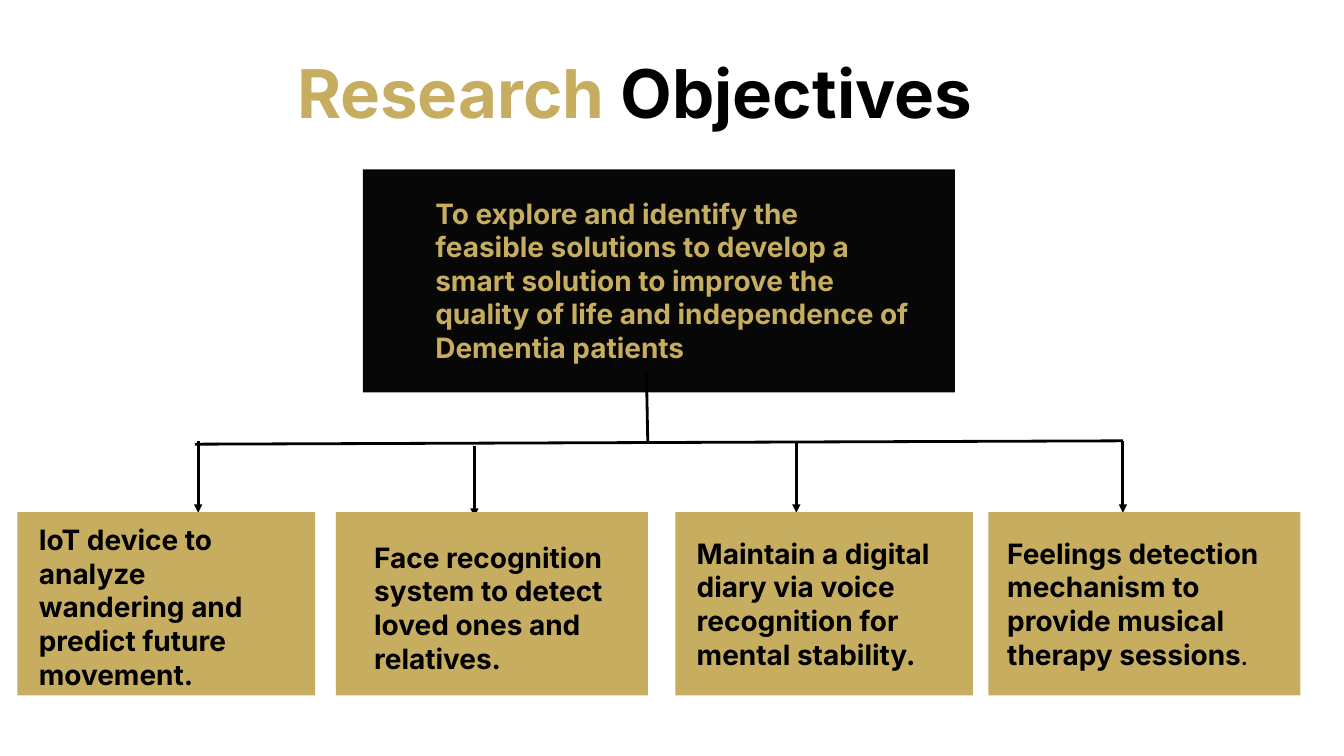
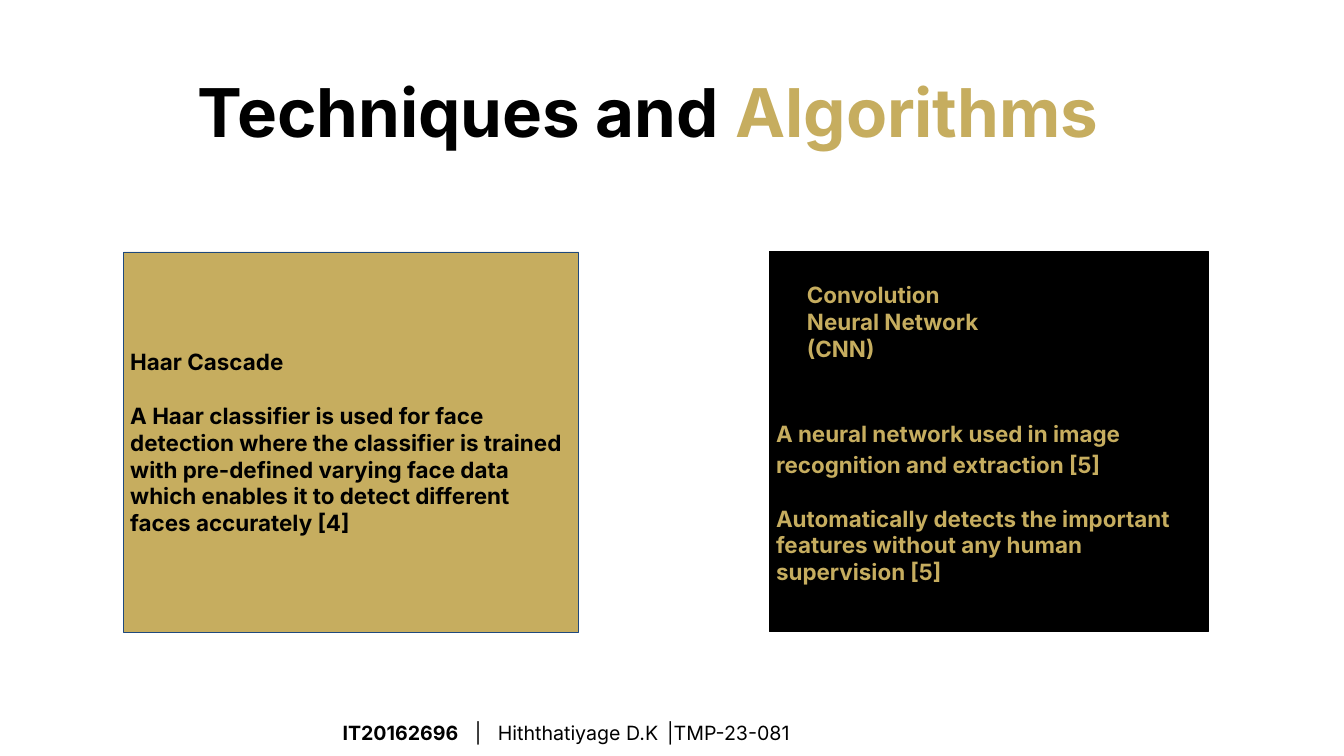
import dataclasses

import lxml.etree
import pptx
import pptx.dml.color
import pptx.enum.shapes
import pptx.enum.text
import pptx.oxml
import pptx.oxml.ns
import pptx.util

EMU_PER_PX = 9144  # 100 px to the inch
MIDDLE = pptx.enum.text.MSO_ANCHOR.MIDDLE
BOTTOM = pptx.enum.text.MSO_ANCHOR.BOTTOM


@dataclasses.dataclass(frozen=True)
class Theme:
    gold: str = "C6AD5F"
    black: str = "000000"
    soft_black: str = "070707"
    navy: str = "1F497D"
    font: str = "Inter"
    stop_font: str = "Lato"
    title: int = 72
    objective: int = 30
    technique: int = 24
    footer: int = 21
    rule: float = 3
    outline: float = 0.75
    inset: int = 10


@dataclasses.dataclass
class Run:
    text: str
    color: str
    bold: bool = True
    font: str = Theme.font


def px(length):
    return pptx.util.Emu(length * EMU_PER_PX)


def rgb(color):
    return pptx.dml.color.RGBColor.from_string(color)


class Deck:
    def __init__(self, theme, width, height):
        self.theme = theme
        self.presentation = pptx.Presentation()
        self.presentation.slide_width = px(width)
        self.presentation.slide_height = px(height)
        self.slide = None

    def new_slide(self):
        blank = self.presentation.slide_layouts[6]
        self.slide = self.presentation.slides.add_slide(blank)

    def panel(self, left, top, width, height, fill, outline=None):
        panel = self.slide.shapes.add_shape(
            pptx.enum.shapes.MSO_SHAPE.RECTANGLE,
            px(left), px(top), px(width), px(height))
        panel.shadow.inherit = False
        panel.fill.solid()
        panel.fill.fore_color.rgb = rgb(fill)
        if outline:
            panel.line.color.rgb = rgb(outline)
            panel.line.width = pptx.util.Pt(self.theme.outline)
        else:
            panel.line.fill.background()
        return panel

    def inset(self, frame, margin, bottom=None):
        frame.word_wrap = True
        frame.margin_left = frame.margin_right = frame.margin_top = px(margin)
        frame.margin_bottom = px(margin if bottom is None else bottom)

    def paragraph(self, frame, runs, size, spacing=None, before=None, tabs=()):
        """Fill the empty first paragraph, or add one after it."""
        paragraph = frame.paragraphs[0]
        if paragraph.runs:
            paragraph = frame.add_paragraph()
        paragraph.alignment = pptx.enum.text.PP_ALIGN.LEFT
        if spacing:
            paragraph.line_spacing = spacing
        if before:
            paragraph.space_before = pptx.util.Pt(before)
        if tabs:
            properties = paragraph._p.get_or_add_pPr()
            stops = lxml.etree.SubElement(properties, pptx.oxml.ns.qn("a:tabLst"))
            for stop in tabs:
                lxml.etree.SubElement(stops, pptx.oxml.ns.qn("a:tab"),
                                      pos=str(px(stop)), algn="l")
        for part in runs:
            run = paragraph.add_run()
            run.text = part.text
            run.font.name = part.font
            run.font.size = pptx.util.Pt(size)
            run.font.bold = part.bold
            run.font.color.rgb = rgb(part.color)

    def text(self, left, top, width, height, runs, size,
             spacing=None, margin=Theme.inset, tabs=()):
        box = self.slide.shapes.add_textbox(
            px(left), px(top), px(width), px(height))
        self.inset(box.text_frame, margin)
        box.text_frame.auto_size = pptx.enum.text.MSO_AUTO_SIZE.SHAPE_TO_FIT_TEXT
        self.paragraph(box.text_frame, runs, size, spacing, tabs=tabs)

    def line(self, x1, y1, x2, y2, arrow=False):
        line = self.slide.shapes.add_connector(
            pptx.enum.shapes.MSO_CONNECTOR.STRAIGHT,
            px(x1), px(y1), px(x2), px(y2))
        line.line.color.rgb = rgb(self.theme.black)
        line.line.width = pptx.util.Pt(self.theme.rule)
        if arrow:
            lxml.etree.SubElement(line.line._get_or_add_ln(),
                                  pptx.oxml.ns.qn("a:tailEnd"), type="triangle")
        lxml.etree.SubElement(line._element.spPr, pptx.oxml.ns.qn("a:effectLst"))


def research_objectives(deck):
    theme = deck.theme
    deck.new_slide()
    deck.text(442, 52, 1202, 121,
              [Run("Research ", theme.gold), Run("Objectives", theme.black)],
              theme.title, spacing=1.2, margin=0)

    # Main objective
    deck.panel(540, 252, 881, 332, theme.soft_black)
    deck.text(638, 282, 725, 273, [Run(
        "To explore and identify the feasible solutions to develop a smart "
        "solution to improve the quality of life and independence of "
        "Dementia patients", theme.gold)], theme.objective)

    # Tree from the main objective to the four sub-objectives
    deck.line(962, 555, 964, 660)
    deck.line(290, 661, 1671, 656)
    for x, top in ((295, 657), (706, 663), (1185, 657), (1671, 657)):
        deck.line(x, top, x, top + 106, arrow=True)

    # Sub-objectives: card left and width, then text left, top, width, height
    sub_objectives = (
        (26, 443, (48, 768, 369, 273),
         "IoT device to analyze wandering and predict future movement.", ""),
        (500, 464, (547, 794, 380, 222),
         "Face recognition system to detect loved ones and relatives.", ""),
        (1005, 443, (1027, 788, 380, 222),
         "Maintain a digital diary via voice recognition for mental stability.", ""),
        (1471, 464, (1489, 788, 398, 222),
         "Feelings detection mechanism to provide musical therapy sessions", "."),
    )
    for left, width, label, wording, full_stop in sub_objectives:
        deck.panel(left, 762, width, 273, theme.gold)
        runs = [Run(wording, theme.black)]
        if full_stop:
            runs.append(Run(full_stop, theme.black, False, theme.stop_font))
        deck.text(*label, runs, theme.objective)


def techniques_and_algorithms(deck):
    theme = deck.theme
    blank_line = 29  # points, one line of technique text
    deck.new_slide()
    deck.text(284, 94, 1473, 141,
              [Run("Techniques and ", theme.black), Run("Algorithms", theme.gold)],
              theme.title)

    # Haar Cascade
    haar = deck.panel(184, 375, 677, 566, theme.gold, theme.navy).text_frame
    deck.inset(haar, theme.inset)
    haar.vertical_anchor = MIDDLE
    deck.paragraph(haar, [Run("Haar Cascade", theme.black)], theme.technique)
    deck.paragraph(haar, [Run(
        "A Haar classifier is used for face detection where the classifier is "
        "trained with pre-defined varying face data which enables it to detect "
        "different faces accurately [4]", theme.black)],
        theme.technique, before=blank_line)

    # Convolution Neural Network
    cnn = deck.panel(1145, 374, 653, 566, theme.black, theme.black).text_frame
    deck.inset(cnn, theme.inset, bottom=69)
    cnn.vertical_anchor = BOTTOM
    deck.paragraph(cnn, [Run(
        "A neural network used in image recognition and extraction [5]",
        theme.gold)], theme.technique, spacing=1.15)
    deck.paragraph(cnn, [Run(
        "Automatically detects the important features without any human "
        "supervision [5]", theme.gold)], theme.technique, before=blank_line)
    deck.text(1191, 409, 283, 141,
              [Run("Convolution Neural Network (CNN)", theme.gold)],
              theme.technique)

    # Footer
    deck.text(500, 1057, 916, 56,
              [Run("IT20162696", theme.black),
               Run("\t|\tHiththatiyage D.K\t|TMP-23-081", theme.black, False)],
              theme.footer, spacing=1.15, tabs=(197, 231, 483))


def main():
    deck = Deck(Theme(), 2000, 1125)
    research_objectives(deck)
    techniques_and_algorithms(deck)
    deck.presentation.save("out.pptx")


if __name__ == "__main__":
    main()
